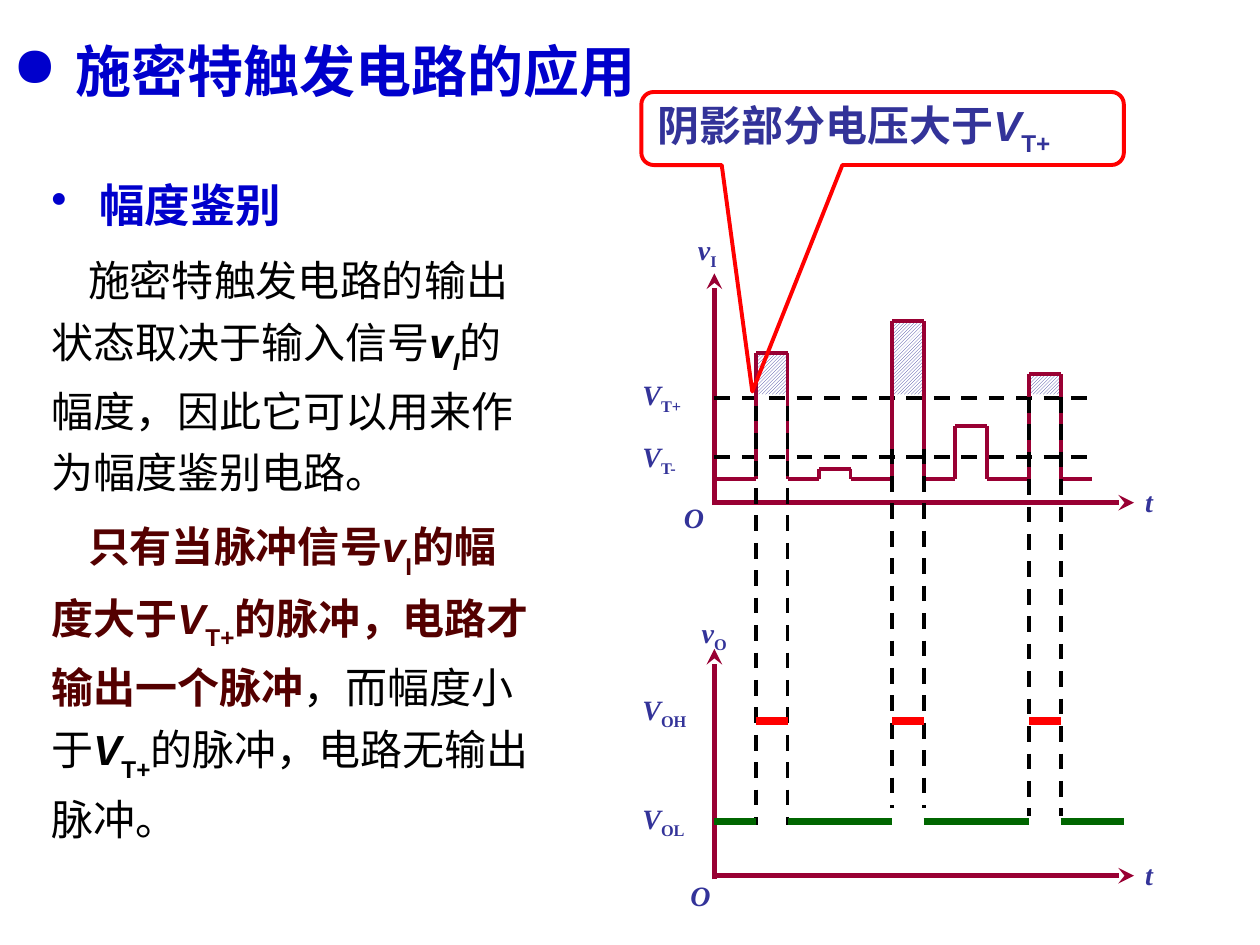
from pptx import Presentation
from pptx.dml.color import RGBColor
from pptx.enum.dml import MSO_LINE, MSO_PATTERN
from pptx.enum.shapes import MSO_CONNECTOR, MSO_SHAPE
from pptx.enum.text import MSO_ANCHOR, MSO_AUTO_SIZE, PP_ALIGN
from pptx.oxml.ns import qn
from pptx.util import Inches, Pt
from lxml import etree

STRAIGHT = MSO_CONNECTOR.STRAIGHT
RECT, CALLOUT = MSO_SHAPE.RECTANGLE, MSO_SHAPE.ROUNDED_RECTANGULAR_CALLOUT
DASH, HATCH = MSO_LINE.DASH, MSO_PATTERN.DARK_UPWARD_DIAGONAL
TOP, MIDDLE, LEFT = MSO_ANCHOR.TOP, MSO_ANCHOR.MIDDLE, PP_ALIGN.LEFT
GROW, FIXED = MSO_AUTO_SIZE.SHAPE_TO_FIT_TEXT, MSO_AUTO_SIZE.NONE

THEME = {
    "white": "FFFFFF", "heading": "0000CC", "text": "000000", "key": "540000",
    "label": "333399", "wave": "990033", "high": "FF0000", "low": "006600",
    "sans": "Arial", "serif": "Times New Roman", "cjk": "Noto Sans CJK SC",
    "title_size": 32, "sub_size": 26, "body_size": 24, "label_size": 16,
}

# Content: each run is (text, changes to the base format)
PLAIN = {"color": "text"}
KEY = {"color": "key", "bold": True}
BOLD = {"color": "text", "bold": True}
ITALIC = {"italic": True}
SUB = {"baseline": -30}
TITLE = [("施密特触发电路的应用", {})]
BODY = [
    {"bullet": "•", "runs": [
        ("幅度鉴别", {"color": "heading", "bold": True, "size": "sub_size"})]},
    {"first": 0.29, "runs": [
        ("施密特触发电路的输出状态取决于输入信号", PLAIN),
        ("v", BOLD | ITALIC), ("I", BOLD | ITALIC | SUB),
        ("的幅度，因此它可以用来作为幅度鉴别电路。", PLAIN)]},
    {"first": 0.29, "runs": [
        ("只有当脉冲信号", KEY), ("v", KEY | ITALIC), ("I", KEY | SUB),
        ("的幅度大于", KEY), ("V", KEY | ITALIC), ("T+", KEY | SUB),
        ("的脉冲，电路才输出一个脉冲", KEY), ("，而幅度小于", PLAIN),
        ("V", BOLD | ITALIC), ("T+", BOLD | SUB),
        ("的脉冲，电路无输出脉冲。", PLAIN)]},
]
CALLOUT_RUNS = [("阴影部分电压大于", {}), ("V", ITALIC),
                ("T+", {"baseline": -25})]
# Axis and level labels: symbol, subscript, left, top
LABELS = [
    ("v", "I", 5.44, 1.8), ("V", "T+", 5, 2.95), ("V", "T-", 5, 3.44),
    ("O", "", 5.33, 3.92), ("t", "", 8.99, 3.8),
    ("v", "O", 5.47, 4.84), ("V", "OH", 5, 5.45), ("V", "OL", 5, 6.31),
    ("O", "", 5.38, 6.92), ("t", "", 8.99, 6.76),
]
# Input pulses: left edge, peak, span of the projection lines (if it passes)
PULSES = [
    (6, 2.8, (3.22, 6.55)), (6.5, 3.72, None), (7.08, 2.55, (3.56, 6.41)),
    (7.58, 3.38, None), (8.17, 2.97, (3.15, 6.48)),
]
PULSE_W, ORIGIN_X, AXIS_END, WAVE_END, OUT_END = 0.25, 5.67, 9, 8.67, 8.92
BASE_Y, UPPER_Y, LOWER_Y, HATCH_BOTTOM = 3.8, 3.16, 3.63, 3.13
HIGH_Y, LOW_Y = 5.72, 6.52
# Axes of each graph: bottom and top of the vertical, height of the horizontal
AXES = [(4.01, 2.17, 3.99), (6.98, 5.15, 6.95)]


def rgb(name):
    return RGBColor.from_string(THEME[name])


def add_runs(paragraph, runs, **base):
    for text, changes in runs:
        style = base | changes
        run = paragraph.add_run()
        run.text = text
        font = run.font
        values = {"name": THEME[style.get("face", "sans")],
                  "size": Pt(THEME[style["size"]]),
                  "bold": style.get("bold", False),
                  "italic": style.get("italic", False)}
        for attribute, value in values.items():
            setattr(font, attribute, value)
        font.color.rgb = rgb(style["color"])
        properties = run._r.get_or_add_rPr()
        etree.SubElement(properties, qn("a:ea"), typeface=THEME["cjk"])
        if "baseline" in style:
            properties.set("baseline", str(style["baseline"] * 1000))


def add_bullet(paragraph, symbol, indent):
    properties = paragraph._p.get_or_add_pPr()
    properties.set("marL", str(Inches(indent)))
    properties.set("indent", str(-Inches(indent)))
    etree.SubElement(properties, qn("a:buChar"), char=symbol)


def set_frame(shape, anchor=TOP, auto_size=FIXED):
    frame = shape.text_frame
    values = {"word_wrap": True, "auto_size": auto_size,
              "vertical_anchor": anchor}
    for attribute, value in values.items():
        setattr(frame, attribute, value)
    return frame


def add_line(slide, start, end, color, width, dash=None, arrow=False):
    line = slide.shapes.add_connector(
        STRAIGHT, *(Inches(v) for v in (*start, *end)))
    line.line.color.rgb = rgb(color)
    line.line.width = Pt(width)
    if dash:
        line.line.dash_style = dash
    if arrow:
        etree.SubElement(line.line._get_or_add_ln(), qn("a:tailEnd"),
                         type="stealth")
    etree.SubElement(line._element.spPr, qn("a:effectLst"))


def add_shape(slide, kind, *box):
    shape = slide.shapes.add_shape(kind, *(Inches(v) for v in box))
    shape.shadow.inherit = False
    return shape


def add_title(slide):
    title = slide.shapes.title
    box = {"left": 0, "top": 0.13, "width": 9, "height": 0.69}
    for attribute, value in box.items():
        setattr(title, attribute, Inches(value))
    title.fill.solid()
    title.fill.fore_color.rgb = rgb("white")
    paragraph = set_frame(title, auto_size=GROW).paragraphs[0]
    paragraph.alignment = LEFT
    paragraph.line_spacing = 1.2
    add_bullet(paragraph, "●", 0.5)
    add_runs(paragraph, TITLE, size="title_size", color="heading", bold=True)


def add_body(slide):
    box = slide.shapes.add_textbox(*(Inches(v) for v in (0.31, 1.27, 3.99, 5.79)))
    frame = set_frame(box)
    for i, item in enumerate(BODY):
        paragraph = frame.add_paragraph() if i else frame.paragraphs[0]
        paragraph.line_spacing = 1.2
        paragraph.space_before = Pt(6 if i else 0)
        paragraph.space_after = Pt(1)
        if "bullet" in item:
            add_bullet(paragraph, item["bullet"], 0.38)
        else:
            paragraph._p.get_or_add_pPr().set("indent", str(Inches(item["first"])))
        add_runs(paragraph, item["runs"], size="body_size")


def add_graphs(slide):
    # Shaded parts above the upper threshold
    passing = [pulse for pulse in PULSES if pulse[2]]
    for left, peak, _ in passing:
        shade = add_shape(slide, RECT, left, peak, PULSE_W, HATCH_BOTTOM - peak)
        shade.fill.patterned()
        shade.fill.pattern = HATCH
        shade.fill.fore_color.rgb = rgb("label")
        shade.fill.back_color.rgb = rgb("white")
        shade.line.fill.background()
    # Axes, thresholds and labels
    for bottom, top, level in AXES:
        add_line(slide, (ORIGIN_X, bottom), (ORIGIN_X, top), "wave", 3, arrow=True)
        add_line(slide, (ORIGIN_X, level), (AXIS_END, level), "wave", 3, arrow=True)
    for y in (UPPER_Y, LOWER_Y):
        add_line(slide, (ORIGIN_X, y), (WAVE_END, y), "text", 2.25, DASH)
    for symbol, sub, left, top in LABELS:
        box = slide.shapes.add_textbox(
            *(Inches(v) for v in (left, top, 0.75, 0.37)))
        runs = [(symbol, ITALIC)] + ([(sub, {"baseline": -25})] if sub else [])
        add_runs(set_frame(box, auto_size=GROW).paragraphs[0], runs,
                 face="serif", size="label_size", color="label", bold=True)
    # Input waveform
    points = [(ORIGIN_X, BASE_Y)]
    for left, peak, _ in PULSES:
        right = left + PULSE_W
        points += [(left, BASE_Y), (left, peak), (right, peak), (right, BASE_Y)]
    points.append((WAVE_END, BASE_Y))
    for start, end in zip(points, points[1:]):
        add_line(slide, start, end, "wave", 2.25)
    # Projections and output levels
    low_start = ORIGIN_X
    for left, _, (top, bottom) in passing:
        right = left + PULSE_W
        for x in (left, right):
            add_line(slide, (x, top), (x, bottom), "text", 2.25, DASH)
        add_line(slide, (left, HIGH_Y), (right, HIGH_Y), "high", 4.5)
        add_line(slide, (low_start, LOW_Y), (left, LOW_Y), "low", 4.5)
        low_start = right
    add_line(slide, (low_start, LOW_Y), (OUT_END, LOW_Y), "low", 4.5)


def add_callout(slide):
    callout = add_shape(slide, CALLOUT, 5.09, 0.73, 3.83, 0.58)
    for i, value in enumerate((-0.27, 3.6, 0.17)):
        callout.adjustments[i] = value
    callout.fill.background()
    callout.line.color.rgb = rgb("high")
    callout.line.width = Pt(2.25)
    paragraph = set_frame(callout, MIDDLE).paragraphs[0]
    paragraph.alignment = LEFT
    add_runs(paragraph, CALLOUT_RUNS, size="body_size", color="label", bold=True)


def main():
    deck = Presentation()
    deck.slide_width, deck.slide_height = Inches(10), Inches(7.5)
    slide = deck.slides.add_slide(deck.slide_layouts[5])
    add_title(slide)
    add_body(slide)
    add_graphs(slide)
    add_callout(slide)
    deck.save("out.pptx")


if __name__ == "__main__":
    main()
